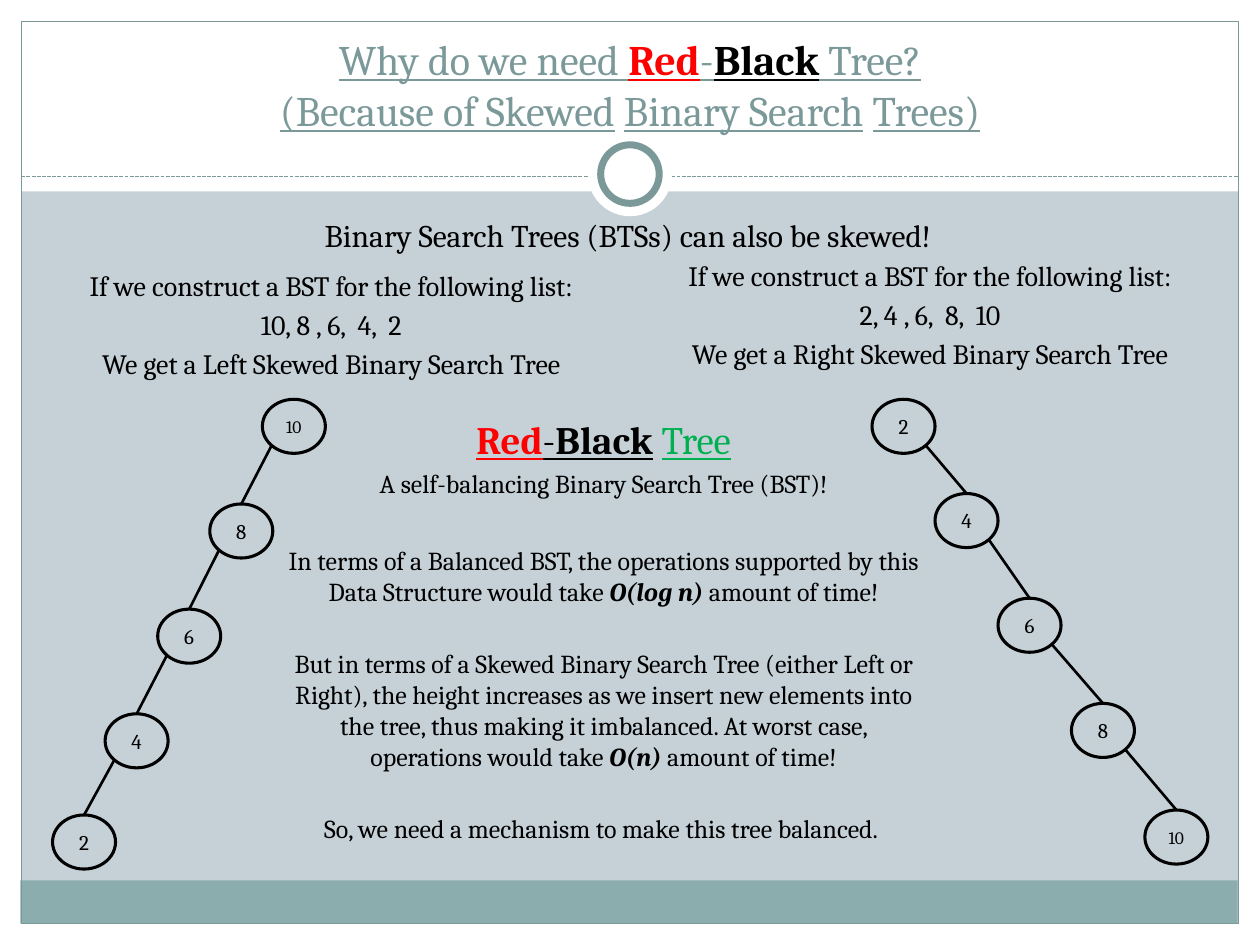
from copy import deepcopy
from itertools import pairwise
from math import sqrt

from lxml.etree import SubElement
from pptx import Presentation
from pptx.dml.color import RGBColor
from pptx.enum.dml import MSO_LINE_DASH_STYLE as Dash
from pptx.enum.shapes import MSO_CONNECTOR as Connector, MSO_SHAPE as Shape
from pptx.enum.text import MSO_ANCHOR as Anchor, MSO_AUTO_SIZE as AutoSize, PP_ALIGN as Align
from pptx.oxml.ns import qn
from pptx.util import Cm, Pt

BACKDROP = RGBColor(0xC5, 0xD1, 0xD7)
WHITE = RGBColor(0xFF, 0xFF, 0xFF)
BLACK = RGBColor(0, 0, 0)
SLATE = RGBColor(0x7C, 0x99, 0x9A)
TEAL = RGBColor(0x8C, 0xAD, 0xAE)
RED = RGBColor(0xFF, 0, 0)
GREEN = RGBColor(0, 0xB0, 0x50)


def write(paragraph, text, font="Cambria", size=16, color=BLACK,
          bold=False, italic=False, underline=False):
    for number, line in enumerate(text.split("\n")):
        if number:
            paragraph.add_line_break()
            paragraph._p[-1].append(deepcopy(run._r.rPr))
        run = paragraph.add_run()
        run.text = line
        run.font.name = font
        run.font.size = Pt(size)
        run.font.color.rgb = color
        run.font.bold = bold
        run.font.italic = italic
        run.font.underline = underline


class SlideBuilder:
    node_width, node_height = 1.27, 1.09

    def __init__(self, presentation):
        self.slide = presentation.slides.add_slide(presentation.slide_layouts[1])
        self.slide.background.fill.solid()
        self.slide.background.fill.fore_color.rgb = BACKDROP

    def shape(self, kind, box, fill=None, line=None, width=0.75):
        shape = self.slide.shapes.add_shape(kind, *map(Cm, box))
        shape.shadow.inherit = False
        if fill is None:
            shape.fill.background()
        else:
            shape.fill.solid()
            shape.fill.fore_color.rgb = fill
        if line is None:
            shape.line.fill.background()
        else:
            shape.line.color.rgb = line
            shape.line.width = Pt(width)
        return shape

    def line(self, start, end, color=BLACK, width=1.5, dash=None):
        line = self.slide.shapes.add_connector(
            Connector.STRAIGHT, *map(Cm, (*start, *end)))
        line.line.color.rgb = color
        line.line.width = Pt(width)
        line.line.dash_style = dash
        SubElement(line.element.spPr, qn("a:effectLst"))

    def fill_text(self, frame, paragraphs, size, spacing=0.2, gap=None,
                  anchor=Anchor.TOP, **style):
        frame.word_wrap = True
        frame.auto_size = AutoSize.NONE
        frame.vertical_anchor = anchor
        for number, pieces in enumerate(paragraphs):
            paragraph = frame.add_paragraph() if number else frame.paragraphs[0]
            paragraph.alignment = Align.CENTER
            paragraph.space_before = Pt(gap if gap and number else size * spacing)
            for text, changes in pieces:
                write(paragraph, text, **{"size": size, **style, **changes})

    def placeholder(self, index, box, paragraphs, size, **style):
        holder = self.slide.placeholders[index]
        holder.left, holder.top, holder.width, holder.height = map(Cm, box)
        holder.element.getparent().append(holder.element)
        self.fill_text(holder.text_frame, paragraphs, size, **style)
        for paragraph in holder.text_frame.paragraphs:
            properties = paragraph._p.get_or_add_pPr()
            properties.set("marL", "0")
            properties.set("indent", "0")
            SubElement(properties, qn("a:buNone"))

    def text(self, box, paragraphs, size, **style):
        frame = self.slide.shapes.add_textbox(*map(Cm, box)).text_frame
        self.fill_text(frame, paragraphs, size, **style)

    def tree(self, keys, corners, side):
        width, height = self.node_width, self.node_height
        for key, corner in zip(keys, corners):
            node = self.shape(Shape.OVAL, (*corner, width, height),
                              line=BLACK, width=1.75)
            self.fill_text(node.text_frame, [[(key, {})]],
                           size=10 if len(key) > 1 else 12,
                           spacing=0, anchor=Anchor.MIDDLE)
        for (left, top), (child_left, child_top) in pairwise(corners):
            start = (left + width / 2 * (1 + side / sqrt(2)),
                     top + height / 2 * (1 + 1 / sqrt(2)))
            self.line(start, (child_left + width / 2, child_top))


presentation = Presentation()
presentation.slide_width, presentation.slide_height = Cm(25.4), Cm(19.05)
builder = SlideBuilder(presentation)

for border in [(0, 18.62, 25.4, 0.43), (0, 0, 25.4, 3.86),
               (0, 0, 0.43, 19.05), (24.97, 0, 0.43, 19.05)]:
    builder.shape(Shape.RECTANGLE, border, fill=WHITE)
builder.shape(Shape.RECTANGLE, (0.41, 17.75, 24.54, 0.87), fill=TEAL)
builder.shape(Shape.RECTANGLE, (0.43, 0.43, 24.54, 18.19), line=SLATE)
builder.line((0.43, 3.56), (24.97, 3.56), SLATE, 0.75, Dash.SQUARE_DOT)
builder.shape(Shape.OVAL, (11.85, 2.66, 1.7, 1.7), fill=WHITE)
builder.shape(Shape.OVAL, (12.11, 2.92, 1.18, 1.18), WHITE, SLATE, 4)

plain = {"underline": False}
red = {"color": RED, "bold": True}
black = {"color": BLACK, "bold": True}
emphasis = {"bold": True, "italic": True}

builder.placeholder(0, (0.85, 0.64, 23.7, 2.12), [[
    ("Why do we need ", {}), ("Red", red), ("-", {}), ("Black", black),
    (" Tree?\n(Because of Skewed", {}), (" ", plain),
    ("Binary Search", {}), (" ", plain), ("Trees)", {}),
]], 24, spacing=0, anchor=Anchor.MIDDLE, color=SLATE, underline=True)
builder.placeholder(1, (0.85, 4.23, 23.62, 1.05), [
    [("Binary Search Trees (BTSs) can also be skewed!", {})]], 18)

left_corners = [(5.29, 8.05), (4.23, 10.16), (3.18, 12.28), (2.12, 14.39), (1.06, 16.43)]
right_corners = [(17.58, 8.05), (18.85, 9.95), (20.12, 12.06), (21.6, 14.18), (23.08, 16.33)]
for direction, box, key_list, corners, side in [
    ("Left", (0.43, 5.29, 12.5, 2.54), "10, 8 , 6,  4,  2", left_corners, -1),
    ("Right", (12.5, 5.08, 12.5, 2.74), "2, 4 , 6,  8,  10", right_corners, 1),
]:
    builder.text(box, [
        [("If we construct a BST for the following list:", {})],
        [(key_list, {})],
        [(f"We get a {direction} Skewed Binary Search Tree", {})],
    ], 16)
    builder.tree([key.strip() for key in key_list.split(",")], corners, side)

builder.text((5.5, 10.85, 13.34, 7.57), [
    [("In terms of a Balanced BST, the operations supported by this "
      "Data Structure would take ", {}),
     ("O(log n)", emphasis), (" amount of time!", {})],
    [("But in terms of a Skewed Binary Search Tree (either Left or Right), "
      "the height increases as we insert new elements into the tree, thus making "
      "it imbalanced. At worst case, operations would take ", {}),
     ("O(n)", emphasis), (" amount of time!", {})],
    [("So, we need a mechanism to make this tree balanced. ", {})],
], 14.8, gap=23.5)

builder.text((5.5, 8.26, 13.34, 1.9), [
    [("Red", {**red, "size": 22.2, "underline": True}),
     ("-", {"size": 22.2, "underline": True}),
     ("Black", {**black, "size": 22.2, "underline": True}),
     (" ", {"size": 22.2}),
     ("Tree", {"size": 22.2, "color": GREEN, "underline": True})],
    [("A self-balancing Binary Search Tree (BST)!", {})],
], 14.8)

presentation.save("out.pptx")
